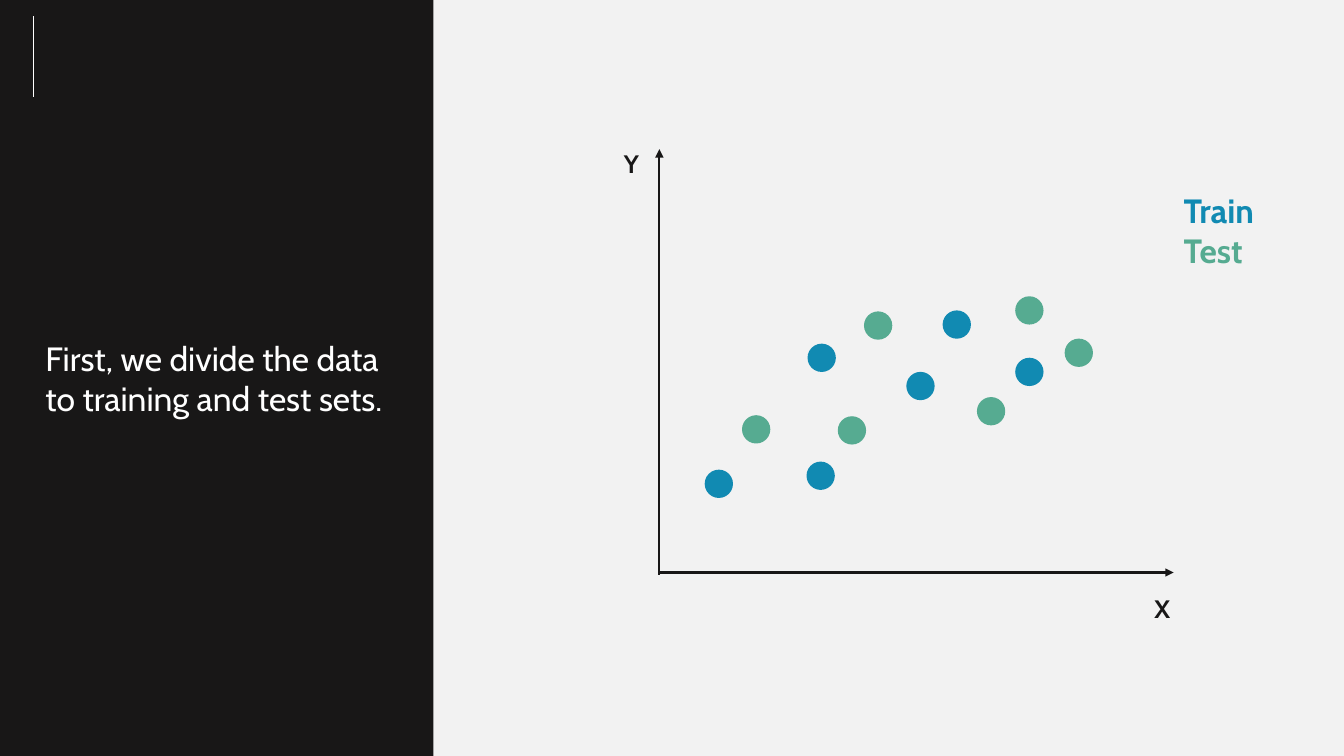
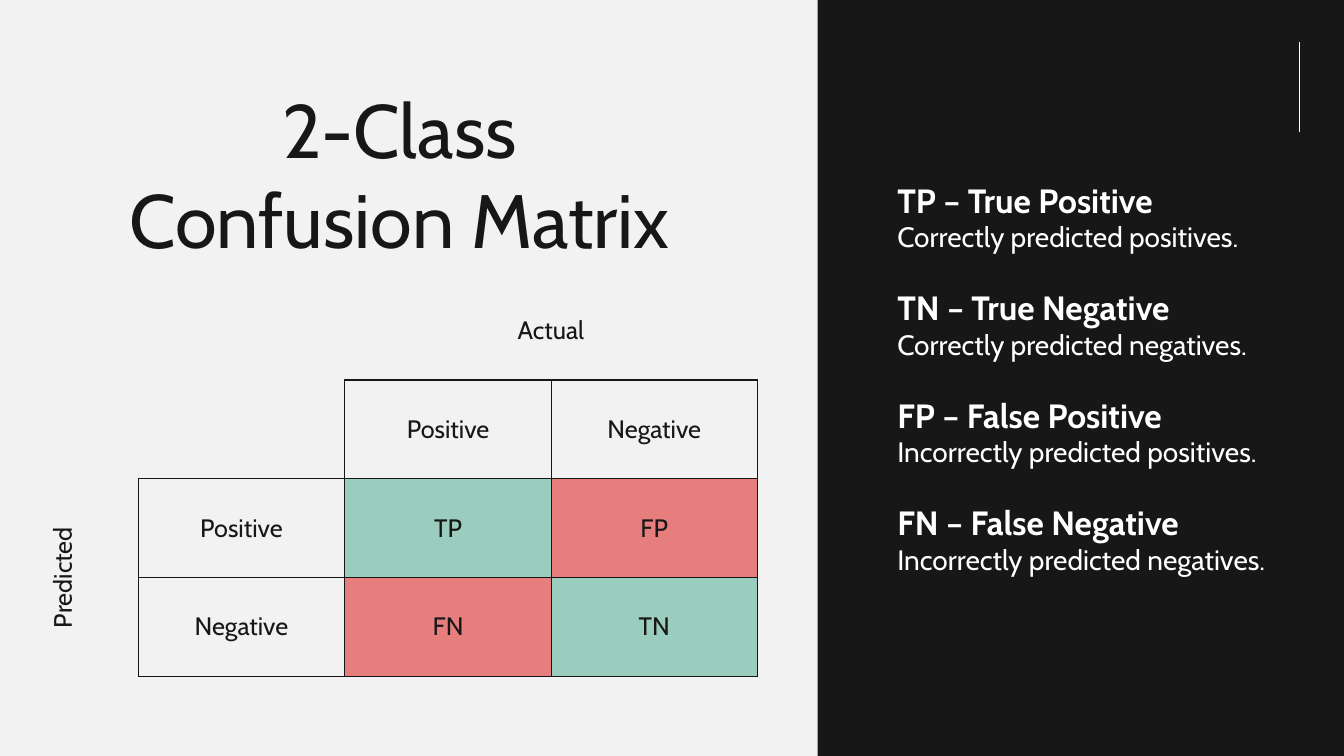
"""Build two slides on train and test sets and the confusion matrix."""
from lxml import etree
from pptx import Presentation
from pptx.dml.color import RGBColor
from pptx.enum.shapes import MSO_CONNECTOR, MSO_SHAPE
from pptx.enum.text import MSO_ANCHOR, MSO_AUTO_SIZE, PP_ALIGN
from pptx.oxml.ns import qn
from pptx.util import Inches, Pt

DARK = RGBColor(0x18, 0x17, 0x17)
LIGHT = RGBColor(0xF2, 0xF2, 0xF2)
WHITE = RGBColor(0xFF, 0xFF, 0xFF)
BLUE = RGBColor(0x11, 0x8A, 0xB2)
GREEN = RGBColor(0x56, 0xAB, 0x91)
MINT = RGBColor(0x9A, 0xCD, 0xBD)
CORAL = RGBColor(0xE7, 0x7E, 0x7E)
FONT = "Cabin"
LEFT, CENTER = PP_ALIGN.LEFT, PP_ALIGN.CENTER
TOP, MIDDLE = MSO_ANCHOR.TOP, MSO_ANCHOR.MIDDLE
FIXED = MSO_AUTO_SIZE.NONE
STRAIGHT = MSO_CONNECTOR.STRAIGHT
RECT, OVAL = MSO_SHAPE.RECTANGLE, MSO_SHAPE.OVAL
NO_STYLE = "{2D5ABB26-0587-4C30-8999-92F81FD0307C}"


def write(shape, box, lines, align=LEFT):
    """Place a text shape and fill it with (text, size, color, bold, gap) lines."""
    shape.left, shape.top, shape.width, shape.height = map(Inches, box)
    frame = shape.text_frame
    frame.word_wrap = True
    frame.auto_size = FIXED
    frame.vertical_anchor = TOP
    for i, (text, size, color, bold, gap) in enumerate(lines):
        para = frame.add_paragraph() if i else frame.paragraphs[0]
        para.text = text
        para.alignment = align
        para.space_before = Pt(gap)
        para.font.name = FONT
        para.font.size = Pt(size)
        para.font.bold = bold
        para.font.color.rgb = color
        props = para._p.get_or_add_pPr()
        props.set("marL", "0")
        props.set("indent", "0")
        props.insert_element_before(
            etree.Element(qn("a:buNone")), "a:tabLst", "a:defRPr", "a:extLst")


def draw(slide, start, end, color, width, arrow=False):
    """Draw a straight line, with an arrowhead at its end if asked."""
    line = slide.shapes.add_connector(STRAIGHT, *map(Inches, start + end))
    line.line.color.rgb = color
    line.line.width = Pt(width)
    if arrow:
        etree.SubElement(line.line._get_or_add_ln(), qn("a:tailEnd"), type="triangle")
    etree.SubElement(line._element.spPr, qn("a:effectLst"))


prs = Presentation()
prs.slide_width, prs.slide_height = Inches(13.33), Inches(7.5)
back = prs.slide_master.background.fill
back.solid()
back.fore_color.rgb = LIGHT

frames = [
    (5, 0, 4.3, (0.33, 0.16), (0.33, 0.96)),
    (1, 8.11, 5.22, (12.89, 0.42), (12.89, 1.31)),
]
for layout, left, width, start, end in frames:
    slide = prs.slides.add_slide(prs.slide_layouts[layout])
    panel = slide.shapes.add_shape(RECT, Inches(left), 0, Inches(width), prs.slide_height)
    panel.shadow.inherit = False
    panel.fill.solid()
    panel.fill.fore_color.rgb = DARK
    panel.line.fill.background()
    panel._element.getparent().insert(2, panel._element)
    draw(slide, start, end, WHITE, 0.5)
split, matrix = prs.slides

write(split.shapes.title, (0.35, 3.3, 3.64, 0.91),
      [("First, we divide the data to training and test sets.", 24, WHITE, False, 0)])
draw(split, (6.54, 5.7), (6.54, 1.48), DARK, 1.5, True)
draw(split, (6.54, 5.68), (11.64, 5.68), DARK, 1.5, True)

labels = [
    ((11.35, 5.84, 0.59, 0.4), [("X", 18, DARK, True, 0)]),
    ((6.09, 1.42, 0.59, 0.4), [("Y", 18, DARK, True, 0)]),
    ((11.64, 1.83, 1.1, 0.91),
     [("Train", 24, BLUE, True, 0), ("Test", 24, GREEN, True, 0)]),
]
for box, lines in labels:
    write(split.shapes.add_textbox(0, 0, 0, 0), box, lines)

dots = {
    BLUE: [(7, 4.67), (9, 3.7), (8.01, 4.59), (8.02, 3.42), (10.08, 3.56), (9.36, 3.09)],
    GREEN: [(9.7, 3.95), (8.32, 4.14), (8.58, 3.1), (10.57, 3.37), (7.37, 4.13),
            (10.08, 2.95)],
}
for color, spots in dots.items():
    for x, y in spots:
        dot = split.shapes.add_shape(OVAL, Inches(x), Inches(y), Inches(0.26), Inches(0.26))
        dot.shadow.inherit = False
        dot.fill.solid()
        dot.fill.fore_color.rgb = color
        dot.line.color.rgb = color
        dot.line.width = Pt(1.5)

write(matrix.shapes.title, (1.1, 0.77, 5.73, 1.92),
      [("2-Class Confusion Matrix", 54, DARK, False, 0)], CENTER)
terms = [
    ("TP – True Positive", "Correctly predicted positives."),
    ("TN – True Negative", "Correctly predicted negatives."),
    ("FP – False Positive", "Incorrectly predicted positives."),
    ("FN – False Negative", "Incorrectly predicted negatives."),
]
lines = []
for i, (term, sense) in enumerate(terms):
    lines += [(term, 24, WHITE, True, 24 if i else 0), (sense, 20, WHITE, False, 0)]
write(matrix.placeholders[1], (8.8, 1.73, 4.22, 4.04), lines)

rows = [
    ["", "", "Actual", ""],
    ["", "", "Positive", "Negative"],
    ["Predicted", "Positive", "TP", "FP"],
    ["", "Negative", "FN", "TN"],
]
fills = {"TP": MINT, "TN": MINT, "FP": CORAL, "FN": CORAL}
table = matrix.shapes.add_table(
    4, 4, Inches(0.42), Inches(2.79), Inches(7.09), Inches(3.92)).table
table._tbl.tblPr.find(qn("a:tableStyleId")).text = NO_STYLE
table.first_row = table.horz_banding = False
for col, width in zip(table.columns, (0.95, 2.05, 2.05, 2.04)):
    col.width = Inches(width)
for r, row in enumerate(rows):
    table.rows[r].height = Inches(0.98)
    for c, text in enumerate(row):
        cell = table.cell(r, c)
        cell.text = text
        cell.vertical_anchor = MIDDLE
        para = cell.text_frame.paragraphs[0]
        para.alignment = CENTER
        para.font.name = FONT
        para.font.size = Pt(18)
        para.font.color.rgb = DARK
        props = cell._tc.get_or_add_tcPr()
        if r and c and r + c > 2:
            for side in "LRTB":
                edge = etree.SubElement(props, qn("a:ln" + side), w=str(Pt(1)))
                paint = etree.SubElement(edge, qn("a:solidFill"))
                etree.SubElement(paint, qn("a:srgbClr"), val=str(DARK))
        if text in fills:
            cell.fill.solid()
            cell.fill.fore_color.rgb = fills[text]
        else:
            cell.fill.background()
table.cell(0, 2).merge(table.cell(0, 3))
table.cell(2, 0).merge(table.cell(3, 0))
table.cell(2, 0)._tc.tcPr.set("vert", "vert270")

prs.save("out.pptx")
